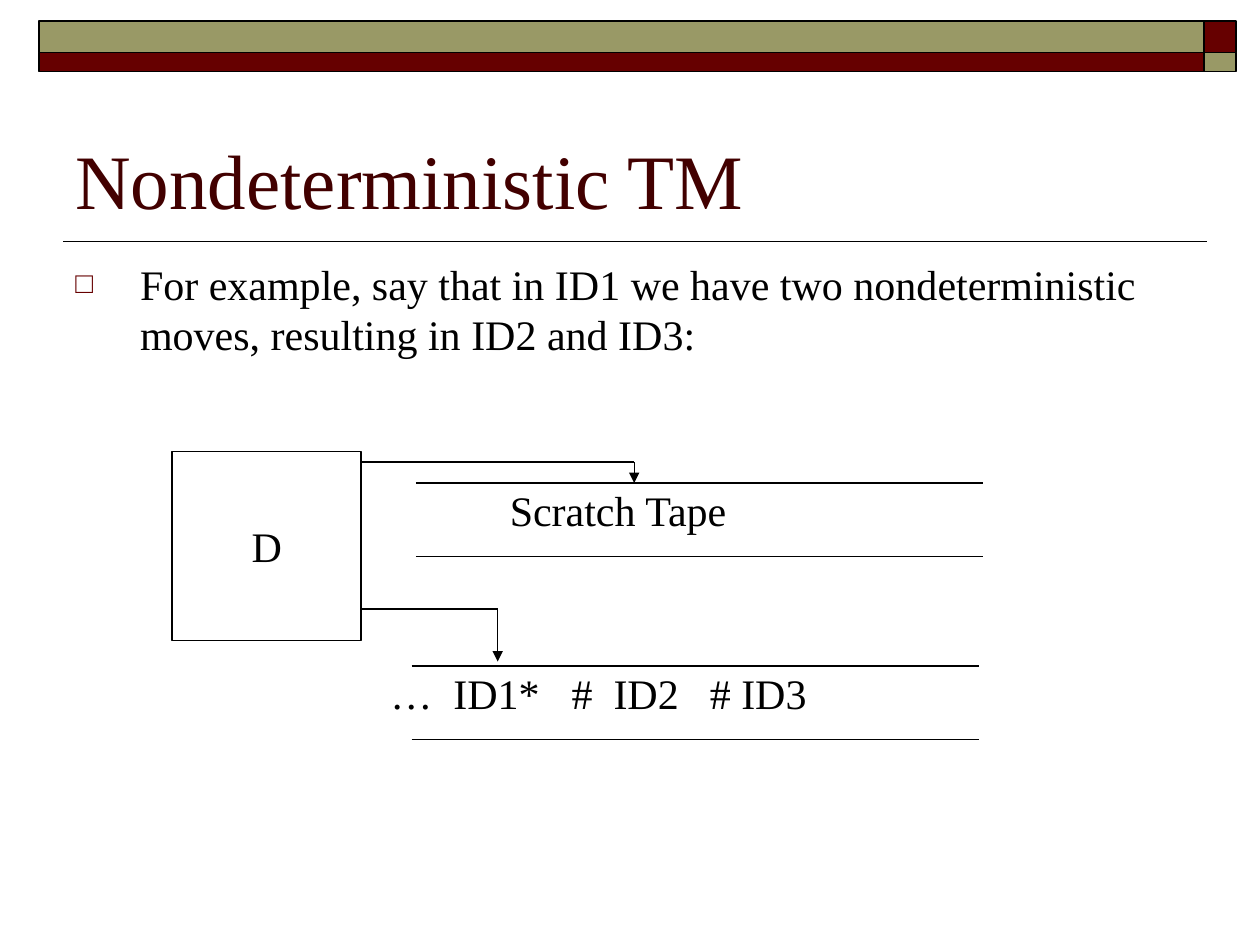
from dataclasses import dataclass

import pptx
import pptx.dml.color
import pptx.enum.shapes
import pptx.enum.text
import pptx.oxml
import pptx.oxml.ns
import pptx.util
from pptx.util import Pt

ANCHOR = pptx.enum.text.MSO_ANCHOR
ALIGN = pptx.enum.text.PP_ALIGN
NAMESPACE = pptx.oxml.ns.nsdecls("a")


@dataclass(frozen=True)
class Theme:
    font: str = "Times New Roman"
    ink: str = "000000"
    heading: str = "420000"
    maroon: str = "660000"
    olive: str = "999966"
    title_size: float = 44
    text_size: float = 24
    rule_width: float = 1
    diagram_width: float = 0.75


@dataclass(frozen=True)
class Box:
    left: float
    top: float
    width: float
    height: float

    def lengths(self) -> list:
        return [Pt(v) for v in (self.left, self.top, self.width, self.height)]


@dataclass(frozen=True)
class Line:
    x1: float
    y1: float
    x2: float
    y2: float
    width: float
    arrow: bool = False


@dataclass(frozen=True)
class Tape:
    left: float
    top: float
    label: str
    label_box: Box
    tabs: tuple = ()


THEME = Theme()
TAPE_LENGTH, TAPE_HEIGHT = 324, 42


def rgb(code: str) -> pptx.dml.color.RGBColor:
    return pptx.dml.color.RGBColor.from_string(code)


def append_xml(parent, *fragments: str) -> None:
    for fragment in fragments:
        start, rest = fragment.split(" ", 1)
        parent.append(pptx.oxml.parse_xml(f"{start} {NAMESPACE} {rest}"))


def apply_format(target, values: dict) -> None:
    for attribute, value in values.items():
        setattr(target, attribute, value)


def write(shape, text: str, size: float, color: str,
          frame_format: dict, paragraph_format: dict):
    """Fill a shape with one paragraph and return that paragraph."""
    apply_format(shape.text_frame, frame_format)
    paragraph = shape.text_frame.paragraphs[0]
    apply_format(paragraph, paragraph_format)
    run = paragraph.add_run()
    run.text = text
    apply_format(run.font, {"name": THEME.font, "size": Pt(size)})
    run.font.color.rgb = rgb(color)
    return paragraph


def add_text(slide, box: Box, text: str, size: float, color: str,
             anchor=ANCHOR.TOP, **paragraph_format):
    textbox = slide.shapes.add_textbox(*box.lengths())
    frame_format = {"word_wrap": True, "vertical_anchor": anchor}
    return write(textbox, text, size, color, frame_format, paragraph_format)


def add_rectangle(slide, box: Box, fill: str | None, line_width: float):
    kind = pptx.enum.shapes.MSO_SHAPE.RECTANGLE
    rectangle = slide.shapes.add_shape(kind, *box.lengths())
    rectangle.shadow.inherit = False
    if fill is None:
        rectangle.fill.background()
    else:
        rectangle.fill.solid()
        rectangle.fill.fore_color.rgb = rgb(fill)
    rectangle.line.color.rgb = rgb(THEME.ink)
    rectangle.line.width = Pt(line_width)
    return rectangle


def add_line(slide, line: Line) -> None:
    kind = pptx.enum.shapes.MSO_CONNECTOR.STRAIGHT
    ends = [Pt(v) for v in (line.x1, line.y1, line.x2, line.y2)]
    connector = slide.shapes.add_connector(kind, *ends)
    connector.line.color.rgb = rgb(THEME.ink)
    connector.line.width = Pt(line.width)
    if line.arrow:
        append_xml(connector.line._get_or_add_ln(), '<a:tailEnd type="triangle"/>')
    append_xml(connector._element.spPr, "<a:effectLst />")


def add_tape(slide, tape: Tape) -> None:
    for y in (tape.top, tape.top + TAPE_HEIGHT):
        add_line(slide, Line(tape.left, y, tape.left + TAPE_LENGTH, y,
                             THEME.diagram_width))
    label = add_text(slide, tape.label_box, tape.label, THEME.text_size, THEME.ink)
    if tape.tabs:
        stops = "".join(f'<a:tab pos="{Pt(stop)}" algn="l"/>' for stop in tape.tabs)
        append_xml(label._p.get_or_add_pPr(), f"<a:tabLst >{stops}</a:tabLst>")


def add_head(slide, start_x: float, start_y: float, tape_x: float, tape_y: float) -> None:
    """Run from the control box across, then down onto a tape."""
    add_line(slide, Line(start_x, start_y, tape_x, start_y, THEME.diagram_width))
    add_line(slide, Line(tape_x, start_y, tape_x, tape_y, THEME.diagram_width, True))


def add_banner(slide) -> None:
    columns = ((22.2, 666), (688.2, 18))
    rows = ((12, 18), (30, 11))
    colors = (THEME.olive, THEME.maroon)
    for r, (top, height) in enumerate(rows):
        for c, (left, width) in enumerate(columns):
            add_rectangle(slide, Box(left, top, width, height),
                          colors[(r + c) % 2], THEME.rule_width)


def main() -> None:
    deck = pptx.Presentation()
    apply_format(deck, {"slide_width": Pt(720), "slide_height": Pt(540)})
    slide = deck.slides.add_slide(deck.slide_layouts[6])

    # Banner, title and rule
    add_banner(slide)
    add_line(slide, Line(36, 138, 690, 138, THEME.rule_width))
    add_text(slide, Box(36, 42, 648, 90), "Nondeterministic TM",
             THEME.title_size, THEME.heading, ANCHOR.BOTTOM)

    # Bulleted statement
    statement = add_text(
        slide, Box(36, 144, 648, 338),
        "For example, say that in ID1 we have two nondeterministic moves, "
        "resulting in ID2 and ID3:",
        THEME.text_size, THEME.ink, space_before=Pt(4.8))
    properties = statement._p.get_or_add_pPr()
    properties.set("marL", str(Pt(37)))
    properties.set("indent", str(Pt(-37)))
    append_xml(properties,
               f'<a:buClr ><a:srgbClr val="{THEME.maroon}"/></a:buClr>',
               '<a:buSzPct val="70000"/>',
               f'<a:buFont typeface="{THEME.font}"/>',
               '<a:buChar char="□"/>')

    # Tapes
    add_tape(slide, Tape(237.6, 276, "Scratch Tape", Box(284.2, 273.6, 140, 36)))
    add_tape(slide, Tape(235.2, 380.6, "…\tID1*\t#\tID2\t# ID3",
                         Box(216, 378, 265, 36), (36, 103.5, 127.5, 182.5)))

    # Control box
    control = Box(98.4, 258, 108, 108)
    write(add_rectangle(slide, control, None, THEME.diagram_width),
          "D", THEME.text_size, THEME.ink,
          {"word_wrap": False, "vertical_anchor": ANCHOR.MIDDLE},
          {"alignment": ALIGN.CENTER})

    # Heads reaching from the control box to the tapes
    control_right = control.left + control.width
    add_head(slide, control_right, 264, 362.4, 276)
    add_head(slide, control_right, 348, 284.4, 378)

    deck.save("out.pptx")


if __name__ == "__main__":
    main()
